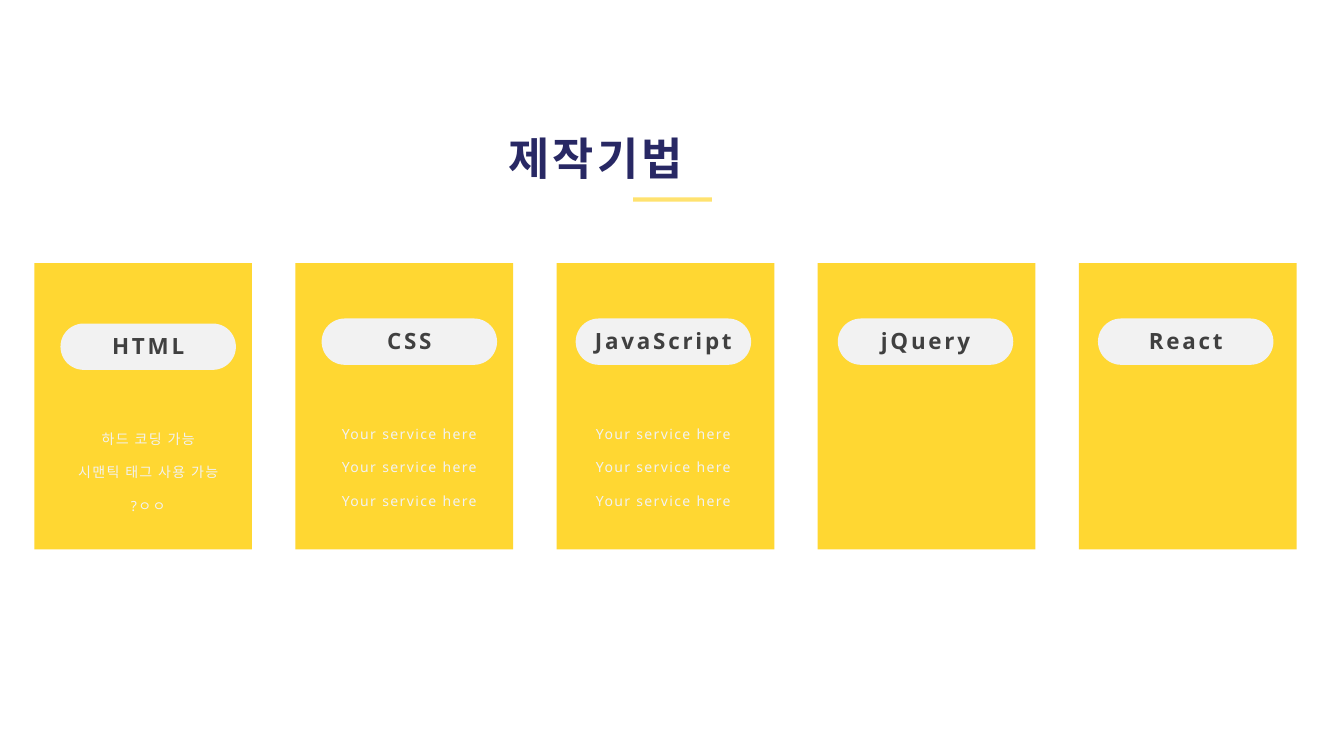
from lxml.etree import SubElement
from pptx import Presentation
from pptx.dml.color import RGBColor
from pptx.enum.shapes import MSO_CONNECTOR, MSO_SHAPE
from pptx.enum.text import MSO_AUTO_SIZE, PP_ALIGN
from pptx.oxml.ns import qn
from pptx.util import Inches, Pt

YELLOW = RGBColor(0xFF, 0xD7, 0x32)
NAVY = RGBColor(0x28, 0x28, 0x64)
LIGHT = RGBColor(0xF2, 0xF2, 0xF2)
DARK = RGBColor(0x40, 0x40, 0x40)
LATIN_FONT = "Noto Sans"
KOREAN_FONT = "Noto Sans CJK KR"

CARD_LEFT, CARD_TOP, CARD_STEP = 0.34, 2.61, 2.59
CARD_W, CARD_H = 2.16, 2.84
PILL_W, PILL_H = 1.74, 0.46
SERVICE_W, SERVICE_H = 2.06, 0.33
PLACEHOLDERS = ["Your service here"] * 3
TECHNIQUES = [
    ("HTML", 0.6, 3.21, 1.06, ["하드 코딩 가능", "시맨틱 태그 사용 가능", "?ㅇㅇ"]),
    ("CSS", 3.19, 3.16, 1.06, PLACEHOLDERS),
    ("JavaScript", 5.71, 3.16, 1.62, PLACEHOLDERS),
    ("jQuery", 8.31, 3.16, 1.62, []),
    ("React", 10.89, 3.16, 1.62, []),
]


def write_text(tf, text, *, size, color, font=LATIN_FONT, bold=False,
               spacing=1, align=PP_ALIGN.CENTER, line_spacing=None):
    p = tf.paragraphs[0]
    p.alignment = align
    p.line_spacing = line_spacing
    r = p.add_run()
    r.text = text
    r.font.size = Pt(size)
    r.font.bold = bold
    r.font.color.rgb = color
    r.font.name = font
    rPr = r.font._element
    rPr.set("spc", str(spacing * 100))
    ea = SubElement(rPr, qn("a:ea"))
    ea.set("typeface", KOREAN_FONT)


class SlideBuilder:
    def __init__(self, slide):
        self.s = slide

    def shape(self, kind, left, top, width, height, color):
        sp = self.s.shapes.add_shape(kind, Inches(left), Inches(top),
                                     Inches(width), Inches(height))
        sp.shadow.inherit = False
        sp.fill.solid()
        sp.fill.fore_color.rgb = color
        sp.line.fill.background()
        return sp

    def card(self, left):
        self.shape(MSO_SHAPE.RECTANGLE, left, CARD_TOP, CARD_W, CARD_H, YELLOW)

    def pill(self, left, top):
        sp = self.shape(MSO_SHAPE.ROUNDED_RECTANGLE, left, top, PILL_W, PILL_H, LIGHT)
        sp.adjustments[0] = 0.5

    def text(self, text, left, top, width, height, **style):
        sp = self.s.shapes.add_textbox(Inches(left), Inches(top),
                                       Inches(width), Inches(height))
        tf = sp.text_frame
        tf.word_wrap = True
        tf.auto_size = MSO_AUTO_SIZE.SHAPE_TO_FIT_TEXT
        write_text(tf, text, **style)

    def underline(self, left, right, y):
        line = self.s.shapes.add_connector(MSO_CONNECTOR.STRAIGHT, Inches(left),
                                           Inches(y), Inches(right), Inches(y))
        line.line.width = Pt(3)
        line.line.color.rgb = YELLOW
        spPr = line._element.spPr
        alpha = SubElement(next(spPr.iter(qn("a:srgbClr"))), qn("a:alpha"))
        alpha.set("val", "70000")
        SubElement(spPr, qn("a:effectLst"))

    def technique(self, name, left, top, label_w, services):
        self.pill(left, top)
        self.text(name, left + (PILL_W - label_w) / 2, top + 0.04, label_w, 0.37,
                  size=16, color=DARK, bold=True, spacing=2)
        service_left = left + (PILL_W - SERVICE_W) / 2
        for i, service in enumerate(services):
            self.text(service, service_left, top + 0.93 + i * SERVICE_H,
                      SERVICE_W, SERVICE_H, size=10, color=LIGHT, line_spacing=1.5)


def main():
    prs = Presentation()
    prs.slide_width, prs.slide_height = Inches(13.33), Inches(7.5)
    builder = SlideBuilder(prs.slides.add_slide(prs.slide_layouts[6]))
    for i in range(len(TECHNIQUES)):
        builder.card(CARD_LEFT + i * CARD_STEP)
    builder.text("제작기법", 4.95, 1.25, 3.43, 0.64, size=32, color=NAVY,
                 font=KOREAN_FONT, bold=True, spacing=2, align=PP_ALIGN.JUSTIFY)
    builder.underline(6.28, 7.06, 1.98)
    for technique in TECHNIQUES:
        builder.technique(*technique)
    prs.save("out.pptx")


if __name__ == "__main__":
    main()
